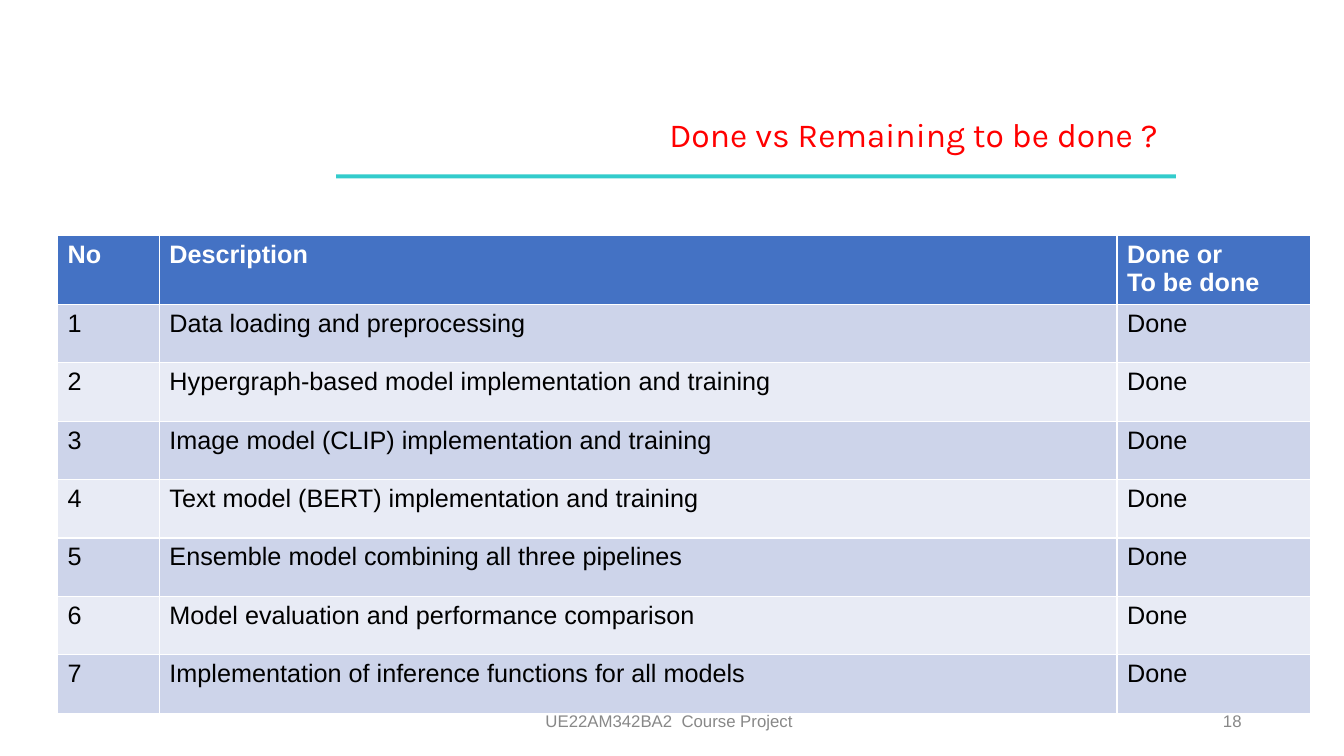
"""Build the slide listing which project tasks are done and which remain."""
import pptx
import pptx.dml.color
import pptx.enum.shapes
import pptx.enum.text
import pptx.util

Pt = pptx.util.Pt
ALIGN = pptx.enum.text.PP_ALIGN
ANCHOR = pptx.enum.text.MSO_ANCHOR

HEADING = "Done vs Remaining to be done ?"
COURSE = "UE22AM342BA2  Course Project"
PAGE = "18"
HEADERS = ["No", "Description", "Done or\nTo be done"]
TASKS = [
    ("Data loading and preprocessing", "Done"),
    ("Hypergraph-based model implementation and training", "Done"),
    ("Image model (CLIP) implementation and training", "Done"),
    ("Text model (BERT) implementation and training", "Done"),
    ("Ensemble model combining all three pipelines", "Done"),
    ("Model evaluation and performance comparison", "Done"),
    ("Implementation of inference functions for all models", "Done"),
]
COLORS = {
    "heading": "FF0000", "rule": "33CCCC", "footer": "888888",
    "header": "4472C4", "header_text": "FFFFFF", "task_text": "000000",
    "odd": "CDD4EA", "even": "E8EBF5",
}
COLUMN_WIDTHS = [72.7, 684, 138.2]
HEADER_HEIGHT, TASK_HEIGHT = 49.3, 41.7


def rgb(name):
    return pptx.dml.color.RGBColor.from_string(COLORS[name])


def write(frame, text, *, size, color, font="Arial", bold=False,
          align=ALIGN.LEFT, anchor=ANCHOR.TOP):
    frame.text = text
    frame.word_wrap = True
    frame.vertical_anchor = anchor
    for paragraph in frame.paragraphs:
        paragraph.alignment = align
        for run in paragraph.runs:
            run.font.size = Pt(size)
            run.font.name = font
            run.font.bold = bold
            run.font.color.rgb = rgb(color)


def add_heading(slide):
    heading = slide.shapes.title
    heading.left, heading.top = Pt(228), Pt(77.8)
    heading.width, heading.height = Pt(618), Pt(36)
    write(heading.text_frame, HEADING, size=24, color="heading", font="Karla",
          align=ALIGN.RIGHT)
    heading.text_frame.auto_size = pptx.enum.text.MSO_AUTO_SIZE.NONE
    heading.text_frame.margin_right = Pt(19)

    rule = slide.shapes.add_shape(pptx.enum.shapes.MSO_SHAPE.RECTANGLE,
                                  Pt(240), Pt(124.5), Pt(600), Pt(3))
    rule.shadow.inherit = False
    rule.fill.solid()
    rule.fill.fore_color.rgb = rgb("rule")
    rule.line.fill.background()


def add_tasks(slide):
    rows = [HEADERS] + [(str(number), *task) for number, task in enumerate(TASKS, 1)]
    heights = [HEADER_HEIGHT] + [TASK_HEIGHT] * len(TASKS)
    tasks = slide.shapes.add_table(
        len(rows), len(HEADERS), Pt(41.2), Pt(168.2),
        Pt(sum(COLUMN_WIDTHS)), Pt(sum(heights))).table
    for column, width in zip(tasks.columns, COLUMN_WIDTHS):
        column.width = Pt(width)
    for index, (row, height) in enumerate(zip(rows, heights)):
        tasks.rows[index].height = Pt(height)
        is_header = index == 0
        band = "header" if is_header else ("even", "odd")[index % 2]
        for cell, text in zip(tasks.rows[index].cells, row):
            cell.fill.solid()
            cell.fill.fore_color.rgb = rgb(band)
            write(cell.text_frame, text, size=18, bold=is_header,
                  color="header_text" if is_header else "task_text")


def add_footer(slide):
    for text, left, width, align in [(PAGE, 678, 216, ALIGN.RIGHT),
                                     (COURSE, 316, 324, ALIGN.CENTER)]:
        footer = slide.shapes.add_textbox(Pt(left), Pt(500.5), Pt(width), Pt(28.8))
        write(footer.text_frame, text, size=12, color="footer", align=align,
              anchor=ANCHOR.MIDDLE)


def main():
    deck = pptx.Presentation()
    deck.slide_width, deck.slide_height = Pt(960), Pt(540)
    slide = deck.slides.add_slide(deck.slide_layouts.get_by_name("Title Only"))
    add_heading(slide)
    add_tasks(slide)
    add_footer(slide)
    deck.save("out.pptx")


if __name__ == "__main__":
    main()
